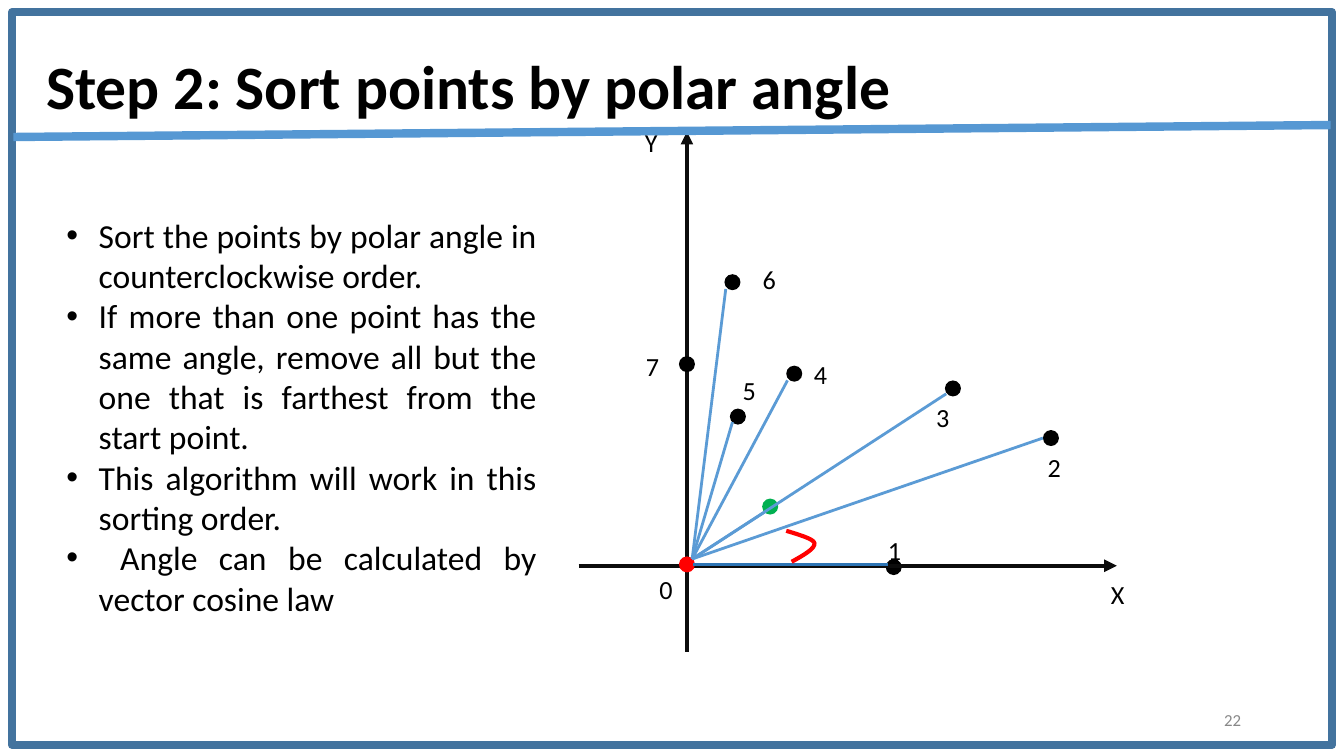
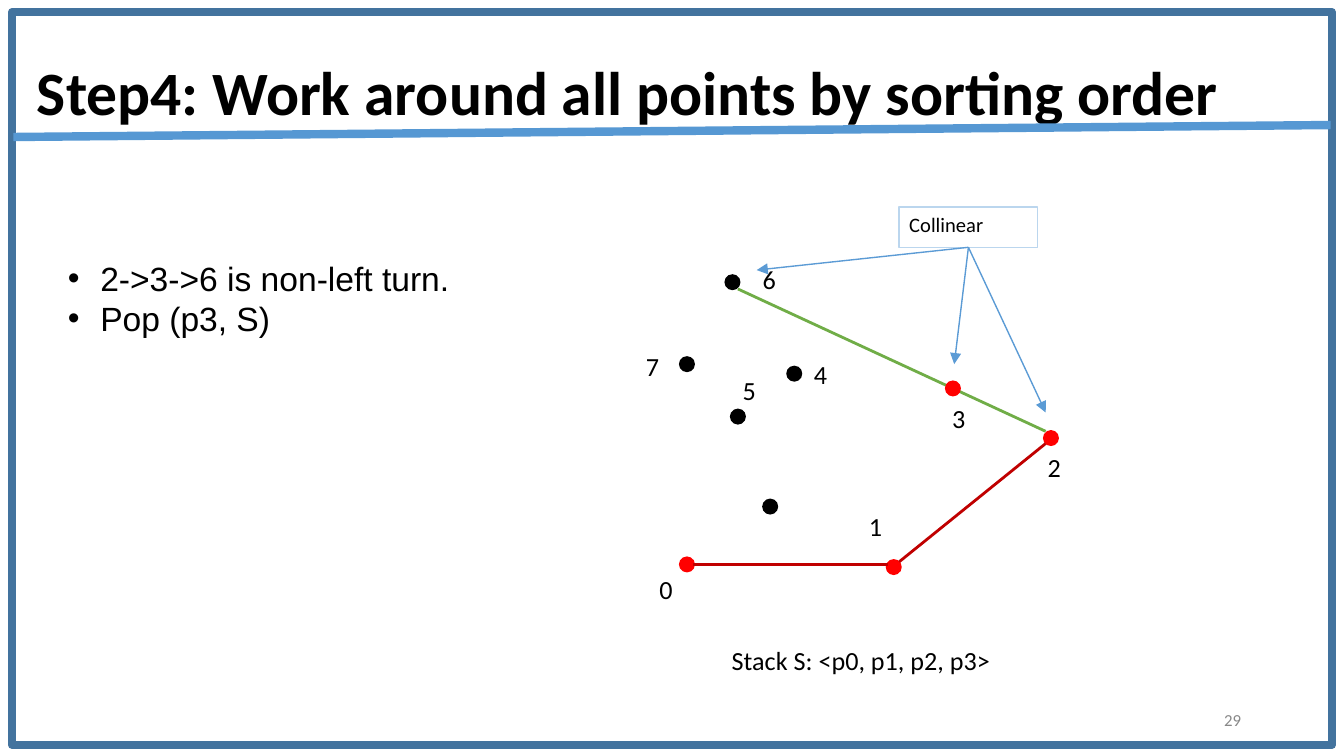
from collections import namedtuple

from lxml import etree
from pptx import Presentation
from pptx.dml.color import RGBColor
from pptx.enum.shapes import MSO_CONNECTOR as Connector, MSO_SHAPE as Shape
from pptx.enum.text import MSO_ANCHOR as Anchor, PP_ALIGN as Align
from pptx.oxml.ns import qn
from pptx.util import Pt

Box = namedtuple("Box", "left top width height")

COLORS = {
    "black": "000000",
    "axis": "0C0C0C",
    "gray": "888888",
    "red": "FF0000",
    "dark_red": "C00000",
    "green": "00B050",
    "collinear": "70AD47",
    "ray": "5B9BD5",
    "base": "2E75B5",
    "callout": "BBD6EE",
    "frame": "43739E",
    "rule": "5698D3",
}

FRAME = Box(6.5, 6.5, 707, 392.5)
NUMBER = Box(508.3, 375, 162, 21.6)
PLOT = Box(310, 65, 300, 285)

# Everything below is measured from the top left of the plot
DOT_SIZE = 8.6
LABEL_SIZE = (18, 21.6)
DOTS = {
    "0": (58, 237.4), "1": (168.8, 238.8), "2": (253, 169.7),
    "3": (200.5, 143.1), "4": (115.5, 135.2), "5": (85.3, 158.2),
    "6": (82.4, 86.2), "7": (58, 130.1), "inner": (102.6, 206.4),
}
LABELS = {
    "0": (37.8, 239.6), "1": (160.2, 218.7), "2": (245.8, 174),
    "3": (186.1, 147.4), "4": (120.6, 124.4), "5": (82.4, 133),
    "6": (93.2, 73.2), "7": (30.6, 120),
}
AXIS_LABELS = {"Y": (30, 0), "X": (279.7, 242.4)}
AXES = [((0, 238.1), (288.3, 238.1)), ((58, 284.2), (58, 5.6))]
BASE = ((61.5, 237.4), (165.9, 237.4))
RAY_START = (60.8, 234.5)
RAY_ENDS = [(99.7, 209.3), (196.9, 146), (82.4, 161.1), (111.9, 138.8),
            (248.7, 169.7), (78.8, 89.8)]
ANGLE_CURVES = [
    [(111.2, 219.4), (118.4, 221.6), (125.6, 223.7), (126.3, 225.9)],
    [(126.3, 225.9), (127, 228.8), (120.6, 232.4), (114.1, 236)],
]
COLLINEAR_LINE = ((250.2, 166.1), (85.3, 89.8))
HULL_EDGE = ((171.7, 236), (250.2, 172.6))
CALLOUT = Box(171.7, 45.9, 74.2, 21.6)
CALLOUT_TARGETS = [(95.4, 79.7), (201.2, 130.1), (250.2, 156)]
STACK = Box(76.6, 277.7, 165, 21.6)


def rgb(name):
    return RGBColor.from_string(COLORS[name])


def points(values):
    return [Pt(value) for value in values]


def within(box, position, size=(0, 0)):
    """Turn a position inside a box into a box on the slide."""
    return Box(box.left + position[0], box.top + position[1], *size)


def add_bullet(paragraph):
    properties = paragraph._p.get_or_add_pPr()
    properties.set("marL", str(Pt(17.3)))
    properties.set("indent", str(-Pt(17.3)))
    color = etree.Element(qn("a:buClr"))
    etree.SubElement(color, qn("a:srgbClr"), val=COLORS["black"])
    font = etree.Element(qn("a:buFont"), typeface="Arial")
    character = etree.Element(qn("a:buChar"), char="•")
    for index, element in enumerate((color, font, character)):
        properties.insert(index, element)


def fill_text(shape, lines, size, color="black", font="Calibri", bold=False,
              align=Align.LEFT, anchor=Anchor.TOP, spacing=None,
              bullets=False, wrap=True):
    frame = shape.text_frame
    frame.word_wrap = wrap
    frame.vertical_anchor = anchor
    frame.margin_left = frame.margin_right = Pt(5.4)
    frame.margin_top = frame.margin_bottom = Pt(2.7)
    for index, line in enumerate(lines):
        paragraph = frame.add_paragraph() if index else frame.paragraphs[0]
        paragraph.text = line
        paragraph.alignment = align
        if bullets:
            add_bullet(paragraph)
        if spacing:
            paragraph.line_spacing = spacing
        paragraph.font.name = font
        paragraph.font.size = Pt(size)
        paragraph.font.bold = bold
        paragraph.font.color.rgb = rgb(color)


def add_text(slide, box, lines, size, **style):
    fill_text(slide.shapes.add_textbox(*points(box)), lines, size, **style)


def add_line(slide, start, end, color, width, arrow=False):
    line = slide.shapes.add_connector(
        Connector.STRAIGHT, *points((*start, *end)))
    line.line.color.rgb = rgb(color)
    line.line.width = Pt(width)
    if arrow:
        etree.SubElement(line.line._get_or_add_ln(), qn("a:tailEnd"),
                         type="triangle")
    etree.SubElement(line._element.spPr, qn("a:effectLst"))
    return line


def add_outline(slide, box, color, width):
    shape = slide.shapes.add_shape(Shape.RECTANGLE, *points(box))
    shape.shadow.inherit = False
    shape.fill.background()
    shape.line.color.rgb = rgb(color)
    shape.line.width = Pt(width)
    return shape


def add_plot_line(slide, box, ends, color, width=1.5, arrow=False):
    start, end = (within(box, position)[:2] for position in ends)
    return add_line(slide, start, end, color, width, arrow)


def add_dots(slide, box, names, color="black"):
    for name in names:
        x, y = DOTS[name]
        corner = (x - DOT_SIZE / 2, y - DOT_SIZE / 2)
        dot = slide.shapes.add_shape(
            Shape.OVAL, *points(within(box, corner, (DOT_SIZE, DOT_SIZE))))
        dot.shadow.inherit = False
        dot.fill.solid()
        dot.fill.fore_color.rgb = rgb(color)
        dot.line.fill.background()


def add_labels(slide, box, labels):
    for label, position in labels.items():
        add_text(slide, within(box, position, LABEL_SIZE), [label], 14,
                 wrap=False)


def add_angle_arc(slide, box, steps=8):
    """Trace the cubic curves that mark the polar angle."""
    outline = [ANGLE_CURVES[0][0]]
    for curve in ANGLE_CURVES:
        for step in range(1, steps + 1):
            t = step / steps
            weights = ((1 - t) ** 3, 3 * t * (1 - t) ** 2,
                       3 * t * t * (1 - t), t ** 3)
            outline.append([sum(w * p[axis] for w, p in zip(weights, curve))
                            for axis in (0, 1)])
    vertices = [points(within(box, position)[:2]) for position in outline]
    builder = slide.shapes.build_freeform(*vertices[0])
    builder.add_line_segments(vertices[1:], close=False)
    arc = builder.convert_to_shape()
    arc.shadow.inherit = False
    arc.fill.background()
    arc.line.color.rgb = rgb("red")
    arc.line.width = Pt(2.25)


def add_polar_plot(slide, box):
    # Points and axes
    add_dots(slide, box, "123456")
    add_dots(slide, box, ["inner"], "green")
    for axis in AXES:
        add_plot_line(slide, box, axis, "axis", 2.25, arrow=True)
    add_dots(slide, box, "7")
    add_dots(slide, box, "0", "red")

    # Rays from the start point
    add_plot_line(slide, box, BASE, "base")
    for end in RAY_ENDS:
        add_plot_line(slide, box, (RAY_START, end), "ray")
    add_labels(slide, box, {**LABELS, **AXIS_LABELS})
    add_angle_arc(slide, box)


def add_hull_plot(slide, box):
    # Points and hull edges
    add_plot_line(slide, box, COLLINEAR_LINE, "collinear")
    add_dots(slide, box, ["4", "5", "6", "7", "inner"])
    add_dots(slide, box, "0123", "red")
    for edge in (BASE, HULL_EDGE):
        add_plot_line(slide, box, edge, "dark_red")
    add_labels(slide, box, {**LABELS, "1": (150, 205.7), "3": (194.7, 148.1)})

    # Callout with an arrow to each collinear point
    callout = add_outline(slide, within(box, CALLOUT[:2], CALLOUT[2:]),
                          "callout", 0.75)
    fill_text(callout, ["Collinear"], 11)
    start = (CALLOUT.left + CALLOUT.width / 2, CALLOUT.top + CALLOUT.height)
    for target in CALLOUT_TARGETS:
        arrow = add_plot_line(slide, box, (start, target), "ray", 0.75, True)
        arrow.begin_connect(callout, 2)

    # Stack contents
    add_text(slide, within(box, STACK[:2], STACK[2:]),
             ["Stack S: <p0, p1, p2, p3>"], 14)


def add_frame(slide, box, number):
    add_text(slide, NUMBER, [number], 9, color="gray", align=Align.RIGHT,
             anchor=Anchor.MIDDLE)
    add_outline(slide, box, "frame", 4.5)
    add_line(slide, (box.left + 0.7, box.top + 66.9),
             (box.left + box.width - 0.7, box.top + 60.5), "rule", 4.5)


def add_step_slide(presentation, title, title_box, bullets, bullet_box,
                   bullet_style, add_plot, number):
    slide = presentation.slides.add_slide(presentation.slide_layouts[6])
    add_text(slide, title_box, [title], 33, bold=True, anchor=Anchor.MIDDLE,
             spacing=0.9)
    add_plot(slide, PLOT)
    add_text(slide, bullet_box, bullets, 18, bullets=True, **bullet_style)
    add_frame(slide, FRAME, number)


def main():
    presentation = Presentation()
    presentation.slide_width, presentation.slide_height = Pt(720), Pt(405)
    add_step_slide(
        presentation,
        "Step 2: Sort points by polar angle", Box(19.4, 8.6, 620.6, 78.5),
        ["Sort the points by polar angle in counterclockwise order.",
         "If more than one point has the same angle, remove all but the one "
         "that is farthest from the start point.",
         "This algorithm will work in this sorting order.",
         " Angle can be calculated by vector cosine law"],
        Box(30.2, 112.3, 262.8, 225.4), {"align": Align.JUSTIFY},
        add_polar_plot, "22")
    add_step_slide(
        presentation,
        "Step4: Work around all points by sorting order",
        Box(14.4, 12.2, 656, 78.5),
        ["2->3->6 is non-left turn.", "Pop (p3, S)"],
        Box(31, 135.4, 262.8, 49), {"font": "Arial"},
        add_hull_plot, "29")
    presentation.save("out.pptx")


if __name__ == "__main__":
    main()
